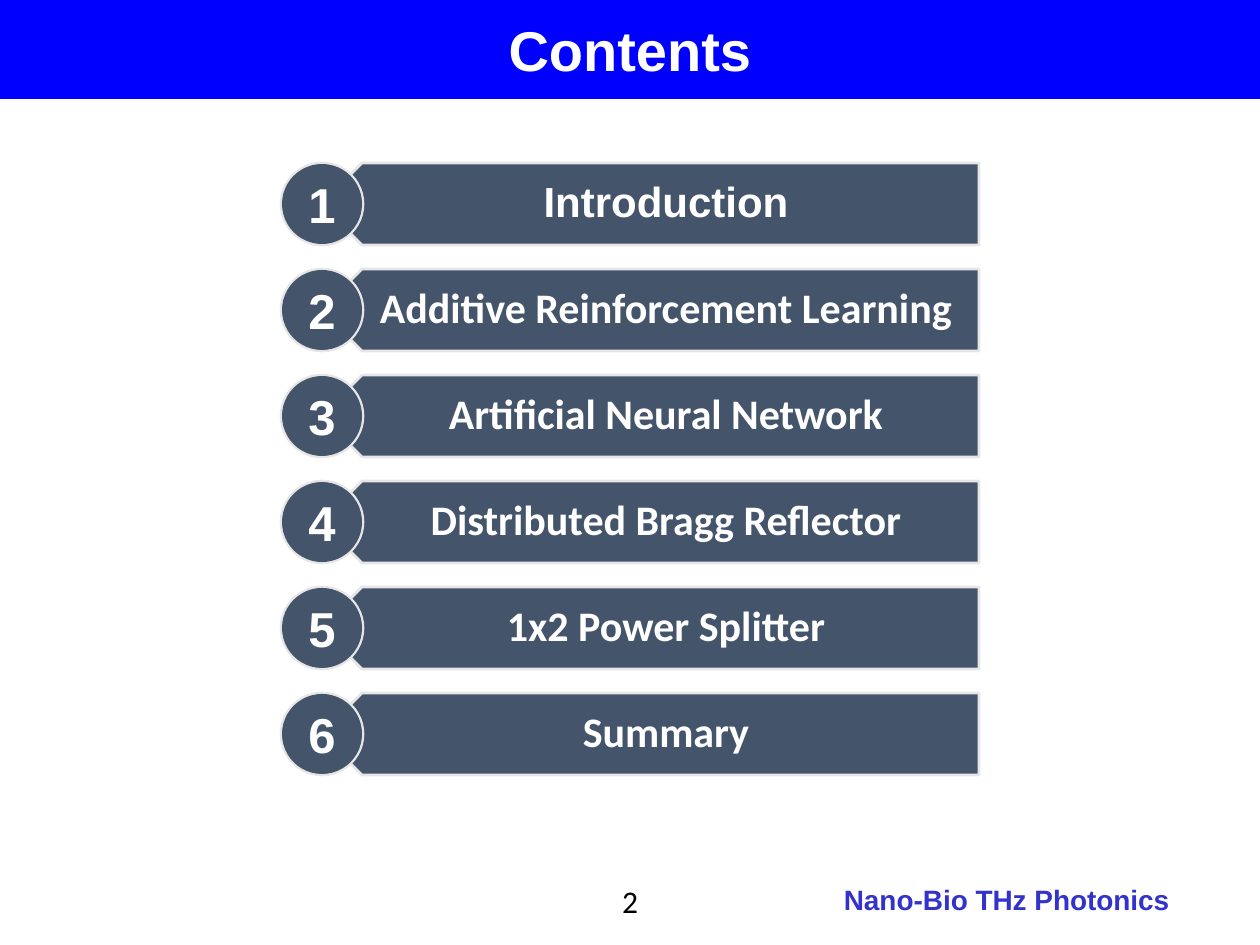
from pptx import Presentation, util as u
from pptx.dml.color import RGBColor
from pptx.enum import shapes, text

TOPICS = [
    ("Introduction", "Arial"),
    ("Additive Reinforcement Learning", "Calibri"),
    ("Artificial Neural Network", "Calibri"),
    ("Distributed Bragg Reflector", "Calibri"),
    ("1x2 Power Splitter", "Calibri"),
    ("Summary", "Calibri"),
]
SLATE, RIM, PALE, WHITE = "44546A", "E7E6E6", "C1C3C7", "FFFFFF"
ROW_TOP, ROW_STEP, ROW_HEIGHT = 163, 106, 82
BADGE_LEFT, BAR_LEFT, LABEL_LEFT, BAR_RIGHT = 281, 321, 341, 979


def px(*lengths):
    return [u.Emu(round(length * 914400 / 126)) for length in lengths]


def color(value):
    return RGBColor.from_string(value)


def write(shape, words, size, font, fill, bold=True, align=text.PP_ALIGN.CENTER):
    frame = shape.text_frame
    frame.text = words
    frame.word_wrap = True
    paragraph = frame.paragraphs[0]
    paragraph.alignment = align
    paragraph.font.size = u.Pt(size)
    paragraph.font.name = font
    paragraph.font.bold = bold
    paragraph.font.color.rgb = color(fill)
    return frame


def add_shape(slide, kind, box, fill, line=None):
    shape = slide.shapes.add_shape(kind, *px(*box))
    shape.shadow.inherit = False
    shape.fill.solid()
    shape.fill.fore_color.rgb = color(fill)
    if line:
        shape.line.color.rgb = color(line)
        shape.line.width = u.Pt(1.5)
    else:
        shape.line.fill.background()
    return shape


def add_row(slide, number, topic, font):
    top = ROW_TOP + (number - 1) * ROW_STEP
    bar = add_shape(slide, shapes.MSO_SHAPE.PENTAGON,
                    (BAR_LEFT, top, BAR_RIGHT - BAR_LEFT, ROW_HEIGHT), SLATE, RIM)
    bar.rotation = 180
    label = slide.shapes.add_textbox(
        *px(LABEL_LEFT, top, BAR_RIGHT - LABEL_LEFT, ROW_HEIGHT))
    frame = write(label, topic, 24, font, WHITE)
    frame.vertical_anchor = text.MSO_ANCHOR.MIDDLE
    frame.margin_left, frame.margin_right = px(36, 24)
    frame.margin_top, frame.margin_bottom = px(12, 12)
    frame.paragraphs[0].line_spacing = 0.9

    oval = shapes.MSO_SHAPE.OVAL
    add_shape(slide, oval, (BADGE_LEFT, top, ROW_HEIGHT, ROW_HEIGHT), PALE, RIM)
    badge = add_shape(slide, oval, (BADGE_LEFT + 1, top + 1,
                                    ROW_HEIGHT - 2, ROW_HEIGHT - 2), SLATE)
    frame = write(badge, str(number), 28, "Arial", WHITE)
    frame.vertical_anchor = text.MSO_ANCHOR.MIDDLE


def main():
    """Build the contents slide."""
    presentation = Presentation()
    presentation.slide_width, presentation.slide_height = px(1260, 945)
    slide = presentation.slides.add_slide(presentation.slide_layouts[5])

    title = slide.shapes.title
    title.left, title.top, title.width, title.height = px(0, 0, 1260, 99)
    title.fill.solid()
    title.fill.fore_color.rgb = color("0000FF")
    frame = write(title, "Contents", 32, "Arial", WHITE)
    frame.vertical_anchor = text.MSO_ANCHOR.MIDDLE

    footer = slide.shapes.add_textbox(*px(824, 876, 358, 47))
    write(footer, "Nano-Bio THz Photonics", 16, "Arial", "3333CC",
          align=text.PP_ALIGN.RIGHT)
    page = slide.shapes.add_textbox(*px(577, 876, 106, 50))
    write(page, "2", 18, "Calibri", "000000", bold=False)

    for number, (topic, font) in enumerate(TOPICS, 1):
        add_row(slide, number, topic, font)

    presentation.save("out.pptx")


if __name__ == "__main__":
    main()
